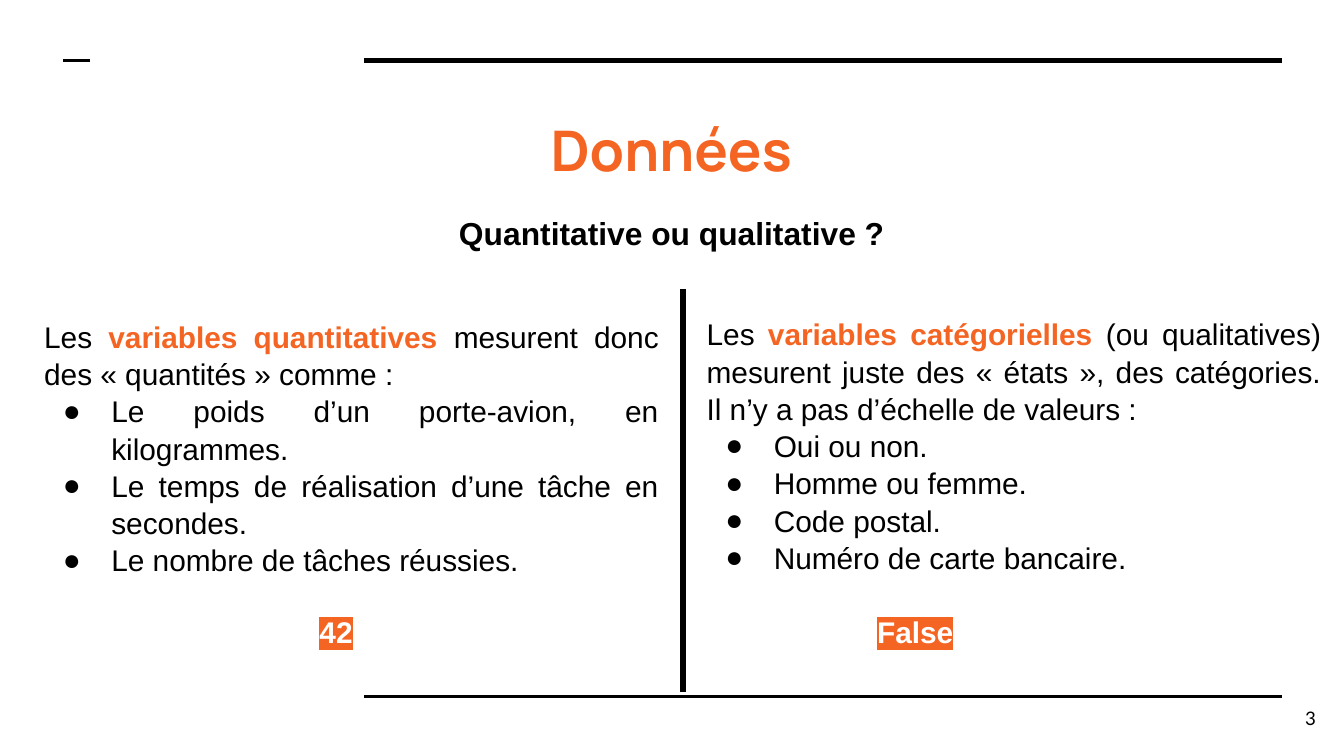
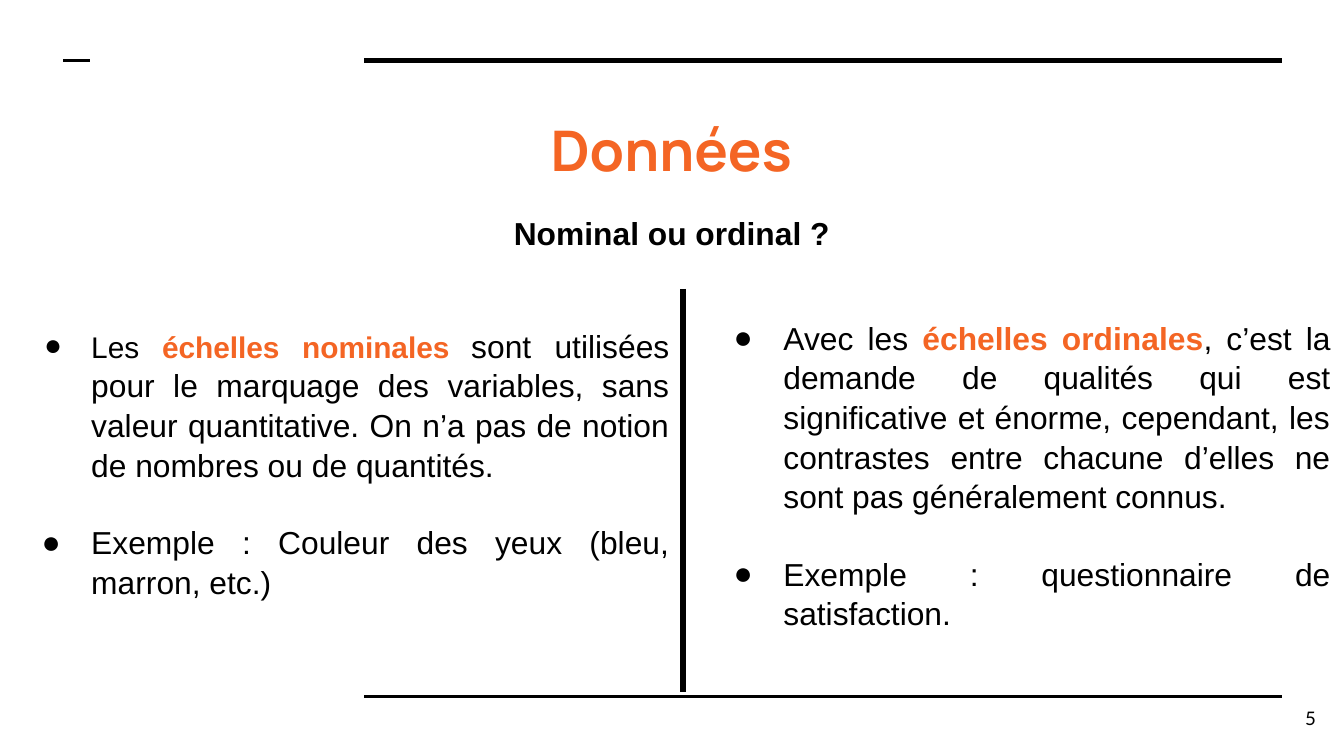
from lxml import etree
from pptx import Presentation
from pptx.dml.color import RGBColor
from pptx.enum.shapes import MSO_CONNECTOR
from pptx.enum.text import MSO_ANCHOR, PP_ALIGN
from pptx.oxml.ns import qn
from pptx.util import Pt

LEFT, CENTER, RIGHT = PP_ALIGN.LEFT, PP_ALIGN.CENTER, PP_ALIGN.RIGHT
JUSTIFY = PP_ALIGN.JUSTIFY
TOP, MIDDLE = MSO_ANCHOR.TOP, MSO_ANCHOR.MIDDLE
STRAIGHT = MSO_CONNECTOR.STRAIGHT

ORANGE, BLACK, WHITE = "F46524", "000000", "FFFFFF"
BODY_FONT, TITLE_FONT, NUMBER_FONT = "Arial", "Manrope", "Lato"
INSET = 7.2
BULLET_INDENT = 36
BODY_SPACING = 1.04

# x1, y1, x2, y2, weight
RULES = [
    (195.1, 32.4, 686.9, 32.4, 3),
    (195.1, 373, 686.9, 373, 1.5),
    (33.8, 32.4, 48.2, 32.4, 1.5),
    (365.8, 154.8, 365.8, 370.8, 3),
]
TITLE_BOX = (110.9, 54.7, 497.5, 49.7)
SUBTITLE_BOX = (147.6, 104.4, 424.8, 79.2)
NUMBER_BOX = (668.9, 369.4, 43.2, 31)

# Each paragraph: (hanging indent or 0, space before, text), where *...* marks key terms.
# A text may be a list of (text, size) pairs when sizes differ.
SLIDES = [
    {
        "number": "3",
        "subtitle": "Quantitative ou qualitative ?",
        "columns": [
            {"box": (16.6, 162.7, 343.4, 163.4), "size": 16, "fill": WHITE, "paragraphs": [
                (0, 0, "Les *variables quantitatives *mesurent donc des « quantités » comme :"),
                (26, 0, "Le poids d’un porte-avion, en kilogrammes."),
                (26, 0, "Le temps de réalisation d’une tâche en secondes."),
                (26, 0, "Le nombre de tâches réussies."),
            ]},
            {"box": (371.5, 161.3, 343.4, 167), "size": 16, "fill": None, "paragraphs": [
                (0, 0, "Les *variables catégorielles* (ou qualitatives) mesurent juste des "
                       "« états », des catégories. Il n’y a pas d’échelle de valeurs :"),
                (26, 0, "Oui ou non."),
                (26, 0, "Homme ou femme."),
                (26, 0, "Code postal."),
                (26, 0, "Numéro de carte bancaire."),
            ]},
        ],
        "examples": [("42", (119.5, 321.8, 121, 33.8)), ("False", (429.8, 321.8, 121, 33.8))],
    },
    {
        "number": "5",
        "subtitle": "Nominal ou ordinal ?",
        "columns": [
            {"box": (5.8, 167, 360, 172.1), "size": 17, "fill": WHITE, "paragraphs": [
                (25.2, 0, [("Les *échelles nominales*", 16), (" ", 13.5),
                           ("sont utilisées pour le marquage des variables, sans valeur "
                            "quantitative. On n’a pas de notion de nombres ou de quantités.", 17)]),
                (26.6, 20.4, "Exemple : Couleur des yeux (bleu, marron, etc.)"),
            ]},
            {"box": (376.6, 162.7, 343.4, 179.3), "size": 17, "fill": None, "paragraphs": [
                (26.6, 0, "Avec les *échelles ordinales*, c’est la demande de qualités qui est "
                          "significative et énorme, cependant, les contrastes entre chacune "
                          "d’elles ne sont pas généralement connus."),
                (26.6, 20.4, "Exemple : questionnaire de satisfaction."),
            ]},
        ],
        "examples": [],
    },
]


def rgb(color):
    return RGBColor.from_string(color)


def add_color(parent, tag, color):
    el = etree.SubElement(parent, qn(tag))
    etree.SubElement(el, qn("a:srgbClr"), val=color)
    return el


def add_line(s, x1, y1, x2, y2, weight):
    line = s.shapes.add_connector(STRAIGHT, Pt(x1), Pt(y1), Pt(x2), Pt(y2))
    line.line.color.rgb = rgb(BLACK)
    line.line.width = Pt(weight)
    etree.SubElement(line._element.spPr, qn("a:effectLst"))


def add_box(s, box, anchor=TOP, fill=None):
    sp = s.shapes.add_textbox(*map(Pt, box))
    if fill:
        sp.fill.solid()
        sp.fill.fore_color.rgb = rgb(fill)
    tf = sp.text_frame
    tf.word_wrap = True
    tf.vertical_anchor = anchor
    tf.margin_left = tf.margin_right = tf.margin_top = tf.margin_bottom = Pt(INSET)
    return tf


def add_run(p, text, size, color=BLACK, bold=False, font=BODY_FONT, highlight=None):
    r = p.add_run()
    r.text = text
    r.font.size = Pt(size)
    r.font.bold = bold
    r.font.color.rgb = rgb(color)
    if highlight:
        add_color(r.font._element, "a:highlight", highlight)
    r.font.name = font


def add_label(s, box, text, size, align=CENTER, anchor=TOP, **style):
    """Add a box with one line in one style and return its paragraph."""
    p = add_box(s, box, anchor).paragraphs[0]
    p.alignment = align
    add_run(p, text, size, **style)
    return p


def set_bullet(p, hanging):
    pPr = p._p.get_or_add_pPr()
    pPr.set("marL", str(Pt(BULLET_INDENT)))
    pPr.set("indent", str(-Pt(hanging)))
    add_color(pPr, "a:buClr", BLACK)
    etree.SubElement(pPr, qn("a:buFont"), typeface=BODY_FONT)
    etree.SubElement(pPr, qn("a:buChar"), char="●")


def add_column(s, box, size, fill, paragraphs):
    tf = add_box(s, box, fill=fill)
    for i, (hanging, before, text) in enumerate(paragraphs):
        p = tf.add_paragraph() if i else tf.paragraphs[0]
        p.alignment = JUSTIFY
        p.line_spacing = BODY_SPACING
        p.space_before = Pt(before)
        if hanging:
            set_bullet(p, hanging)
        parts = [(text, size)] if isinstance(text, str) else text
        for part, part_size in parts:
            for j, piece in enumerate(part.split("*")):
                if piece:
                    key = j % 2 == 1
                    add_run(p, piece, part_size, ORANGE if key else BLACK, key)


def add_data_slide(prs, content):
    s = prs.slides.add_slide(prs.slide_layouts[6])
    add_label(s, TITLE_BOX, "Données", 30, color=ORANGE, bold=True, font=TITLE_FONT)
    for column in content["columns"]:
        add_column(s, **column)
    p = add_label(s, SUBTITLE_BOX, content["subtitle"], 17, bold=True)
    p.line_spacing = 1.15
    p.space_before = Pt(24)
    for text, box in content["examples"]:
        add_label(s, box, text, 16, color=WHITE, bold=True, highlight=ORANGE)
    for rule in RULES:
        add_line(s, *rule)
    add_label(s, NUMBER_BOX, content["number"], 10, RIGHT, MIDDLE, font=NUMBER_FONT)


def main():
    prs = Presentation()
    prs.slide_width, prs.slide_height = Pt(720), Pt(405)
    for content in SLIDES:
        add_data_slide(prs, content)
    prs.save("out.pptx")


if __name__ == "__main__":
    main()
